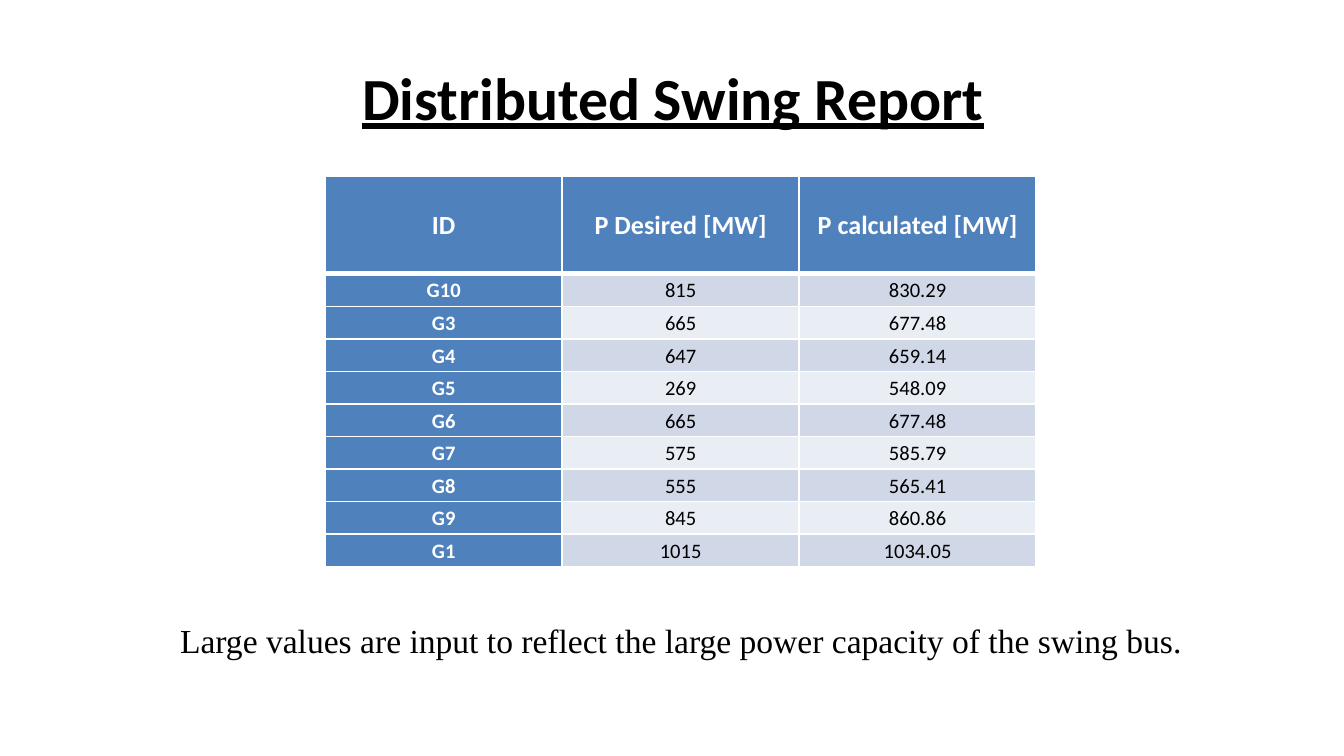
from lxml.etree import SubElement
from pptx import Presentation
from pptx.dml.color import RGBColor
from pptx.enum.text import MSO_ANCHOR, MSO_AUTO_SIZE, PP_ALIGN
from pptx.oxml.ns import qn
from pptx.util import Inches, Pt

BLACK = RGBColor(0x00, 0x00, 0x00)
WHITE = RGBColor(0xFF, 0xFF, 0xFF)
BLUE = RGBColor(0x4F, 0x81, 0xBD)
BANDS = [RGBColor(0xE9, 0xED, 0xF4), RGBColor(0xD0, 0xD8, 0xE8)]

ROWS = [
    ("ID", "P Desired [MW]", "P calculated [MW]"),
    ("G10", "815", "830.29"),
    ("G3", "665", "677.48"),
    ("G4", "647", "659.14"),
    ("G5", "269", "548.09"),
    ("G6", "665", "677.48"),
    ("G7", "575", "585.79"),
    ("G8", "555", "565.41"),
    ("G9", "845", "860.86"),
    ("G1", "1015", "1034.05"),
]
TABLE_WIDTH, TABLE_HEIGHT = Inches(5.29), Inches(2.91)
HEADER_HEIGHT = TABLE_HEIGHT // 4
BODY_HEIGHT = (TABLE_HEIGHT - HEADER_HEIGHT) // (len(ROWS) - 1)


def write_centred(paragraph, text, color, **font_format):
    paragraph.alignment = PP_ALIGN.CENTER
    run = paragraph.add_run()
    run.text = text
    run.font.color.rgb = color
    for name, value in font_format.items():
        setattr(run.font, name, value)


def add_border(cell, side, width):
    line = SubElement(cell._tc.get_or_add_tcPr(), qn(f"a:{side}"), w=str(width))
    fill = SubElement(line, qn("a:solidFill"))
    SubElement(fill, qn("a:srgbClr"), val=str(WHITE))


presentation = Presentation()
presentation.slide_width = Inches(10)
presentation.slide_height = presentation.slide_width * 9 // 16
slide = presentation.slides.add_slide(presentation.slide_layouts[6])

# Generator table
table = slide.shapes.add_table(
    len(ROWS), len(ROWS[0]), Inches(2.42), Inches(1.31), TABLE_WIDTH, TABLE_HEIGHT
).table
table.first_col = True
for column in table.columns:
    column.width = TABLE_WIDTH // len(ROWS[0])
for row_index, values in enumerate(ROWS):
    is_header = row_index == 0
    table.rows[row_index].height = HEADER_HEIGHT if is_header else BODY_HEIGHT
    for column_index, value in enumerate(values):
        is_heading = is_header or column_index == 0
        cell = table.cell(row_index, column_index)
        cell.vertical_anchor = MSO_ANCHOR.MIDDLE
        cell.margin_left = cell.margin_right = Inches(0.06)
        cell.margin_top = cell.margin_bottom = 0
        for side in ("lnL", "lnR", "lnT", "lnB"):
            touches_header = (row_index, side) in ((0, "lnB"), (1, "lnT"))
            add_border(cell, side, Pt(3 if touches_header else 1))
        cell.fill.solid()
        cell.fill.fore_color.rgb = BLUE if is_heading else BANDS[row_index % 2]
        paragraph = cell.text_frame.paragraphs[0]
        paragraph.line_spacing = 1.07
        write_centred(paragraph, value, WHITE if is_heading else BLACK,
                      name="Calibri", size=Pt(14 if is_header else 11), bold=is_heading)

# Title and note
TEXTS = [
    ("Distributed Swing Report", (2.6, 0.41, 4.82, 0.85), MSO_AUTO_SIZE.NONE,
     {"name": "Calibri", "size": Pt(32), "bold": True, "underline": True}),
    ("Large values are input to reflect the large power capacity of the swing bus.",
     (1.26, 4.57, 7.62, 0.38), MSO_AUTO_SIZE.SHAPE_TO_FIT_TEXT,
     {"name": "Times New Roman", "size": Pt(18)}),
]
for text, box, auto_size, font_format in TEXTS:
    frame = slide.shapes.add_textbox(*map(Inches, box)).text_frame
    frame.word_wrap = True
    frame.auto_size = auto_size
    frame.margin_left = frame.margin_right = Inches(0.07)
    frame.margin_top = frame.margin_bottom = Inches(0.04)
    write_centred(frame.paragraphs[0], text, BLACK, **font_format)

presentation.save("out.pptx")
